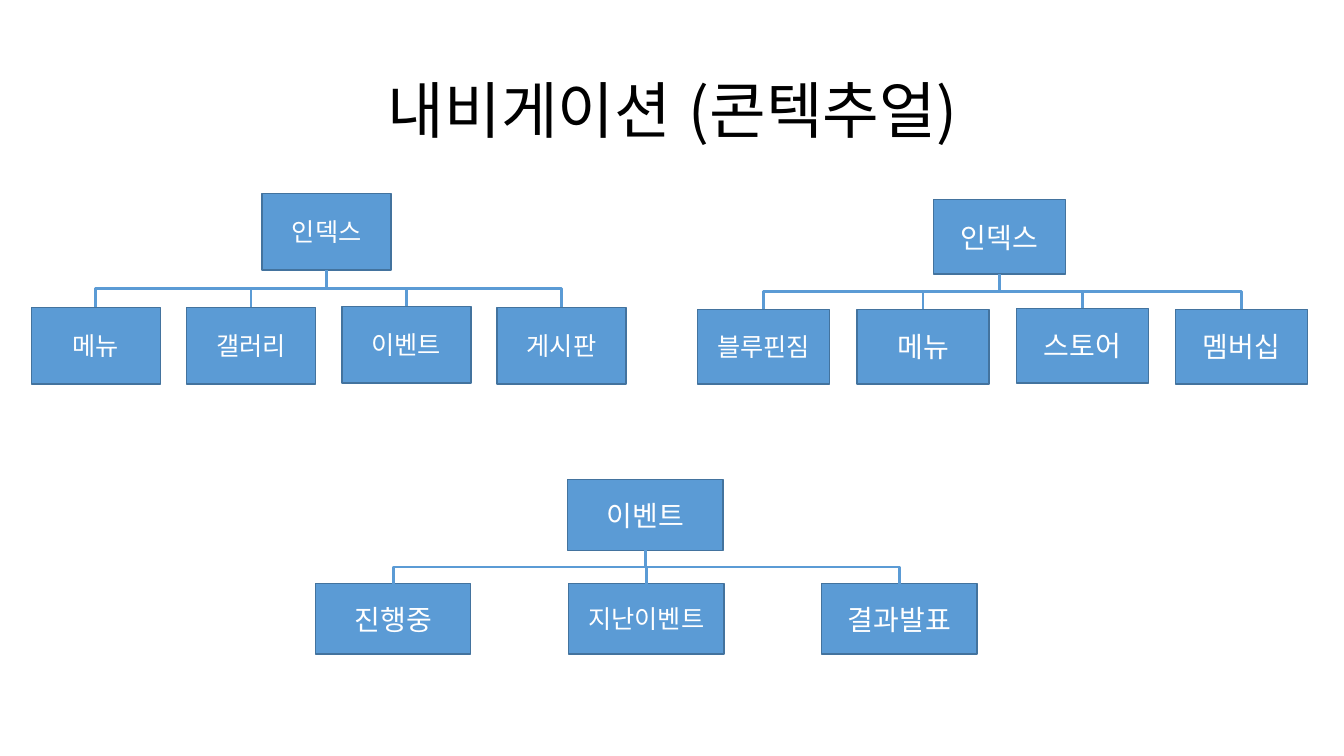
from lxml import etree
from pptx import Presentation
from pptx.dml.color import RGBColor
from pptx.enum import lang, shapes, text
from pptx.oxml import ns
from pptx.util import Inches, Pt

TITLE = "내비게이션 (콘텍추얼)"

# Lengths in inches; each node is (label, type size name); "raised" is the child set a hair higher.
TREES = [
    dict(root=("인덱스", "small"), root_at=(2.6, 1.92), box=(1.28, 0.76),
         first_at=(0.31, 3.05), pitch=1.54, raised=2,
         children=[("메뉴", "small"), ("갤러리", "small"),
                   ("이벤트", "small"), ("게시판", "small")]),
    dict(root=("인덱스", "large"), root_at=(9.26, 1.98), box=(1.31, 0.74),
         first_at=(6.92, 3.07), pitch=1.58, raised=2,
         children=[("블루핀짐", "small"), ("메뉴", "large"),
                   ("스토어", "large"), ("멤버십", "large")]),
    dict(root=("이벤트", "large"), root_at=(5.63, 4.76), box=(1.54, 0.7),
         first_at=(3.13, 5.79), pitch=2.51, raised=None,
         children=[("진행중", "large"), ("지난이벤트", "small"), ("결과발표", "large")]),
]
RAISE = 0.01

THEME = dict(
    font="Noto Sans CJK KR",
    ink=RGBColor.from_string("000000"),
    label=RGBColor.from_string("FFFFFF"),
    fill=RGBColor.from_string("5B9BD5"),
    border=RGBColor.from_string("43739E"),
    title=44, large=20, small=18, border_width=1, link_width=2,
)


def write(shape, words, size, color):
    """Put one centred line of text in a shape."""
    frame = shape.text_frame
    frame.word_wrap = True
    frame.vertical_anchor = text.MSO_ANCHOR.MIDDLE
    para = frame.paragraphs[0]
    para.alignment = text.PP_ALIGN.CENTER
    span = para.add_run()
    span.text = words
    font = span.font
    font.name, font.size = THEME["font"], Pt(THEME[size])
    font.color.rgb = color
    font.language_id = lang.MSO_LANGUAGE_ID.KOREAN
    east_asian = etree.SubElement(span._r.get_or_add_rPr(), ns.qn("a:ea"))
    east_asian.set("typeface", THEME["font"])
    return para


def add_node(page, node, left, top, size):
    """Draw one labelled box of a tree."""
    words, type_size = node
    box = page.shapes.add_shape(shapes.MSO_SHAPE.RECTANGLE,
                                *map(Inches, (left, top, *size)))
    box.shadow.inherit = False
    box.fill.solid()
    box.fill.fore_color.rgb = THEME["fill"]
    box.line.color.rgb = THEME["border"]
    box.line.width = Pt(THEME["border_width"])
    write(box, words, type_size, THEME["label"])


def add_link(page, kind, start, end):
    """Draw one plain connector between two points."""
    link = page.shapes.add_connector(kind, *map(Inches, (*start, *end)))
    link.line.color.rgb = THEME["fill"]
    link.line.width = Pt(THEME["link_width"])
    etree.SubElement(link._element.spPr, ns.qn("a:effectLst"))
    return link


def add_elbow(page, start, end):
    """Draw an elbow that goes down, across and down again."""
    (x1, y1), (x2, y2) = start, end
    middle_x, middle_y = (x1 + x2) / 2, (y1 + y2) / 2
    half_drop, half_run = (y2 - y1) / 2, abs(x2 - x1) / 2
    # The preset runs across first, so its frame is laid on its side and turned.
    link = add_link(page, shapes.MSO_CONNECTOR.ELBOW,
                    (middle_x - half_drop, middle_y - half_run),
                    (middle_x + half_drop, middle_y + half_run))
    frame = link._element.spPr.find(ns.qn("a:xfrm"))
    if x2 < x1:
        frame.set("rot", "5400000")
    else:
        frame.set("rot", "16200000")
        frame.set("flipH", "1")


def add_tree(page, tree):
    """Draw a root, its row of children and the links between them."""
    width, height = tree["box"]
    root_left, root_top = tree["root_at"]
    first_left, row_top = tree["first_at"]
    trunk = (root_left + width / 2, root_top + height)
    branch_y = (trunk[1] + row_top) / 2
    last = len(tree["children"]) - 1
    add_node(page, tree["root"], root_left, root_top, tree["box"])
    for index, child in enumerate(tree["children"]):
        left = first_left + index * tree["pitch"]
        top = row_top - (RAISE if index == tree["raised"] else 0)
        joint_x = left + width / 2
        add_node(page, child, left, top, tree["box"])
        if index in (0, last):
            add_elbow(page, trunk, (joint_x, top))
        else:
            add_link(page, shapes.MSO_CONNECTOR.STRAIGHT,
                     (joint_x, top), (joint_x, branch_y))


def build():
    """Build the deck and save it."""
    deck = Presentation()
    deck.slide_width, deck.slide_height = Inches(13.33), Inches(7.5)
    page = deck.slides.add_slide(deck.slide_layouts[6])
    heading = page.shapes.add_textbox(*map(Inches, (0.92, 0.4, 11.5, 1.45)))
    write(heading, TITLE, "title", THEME["ink"]).line_spacing = 0.9
    for tree in TREES:
        add_tree(page, tree)
    deck.save("out.pptx")


build()
